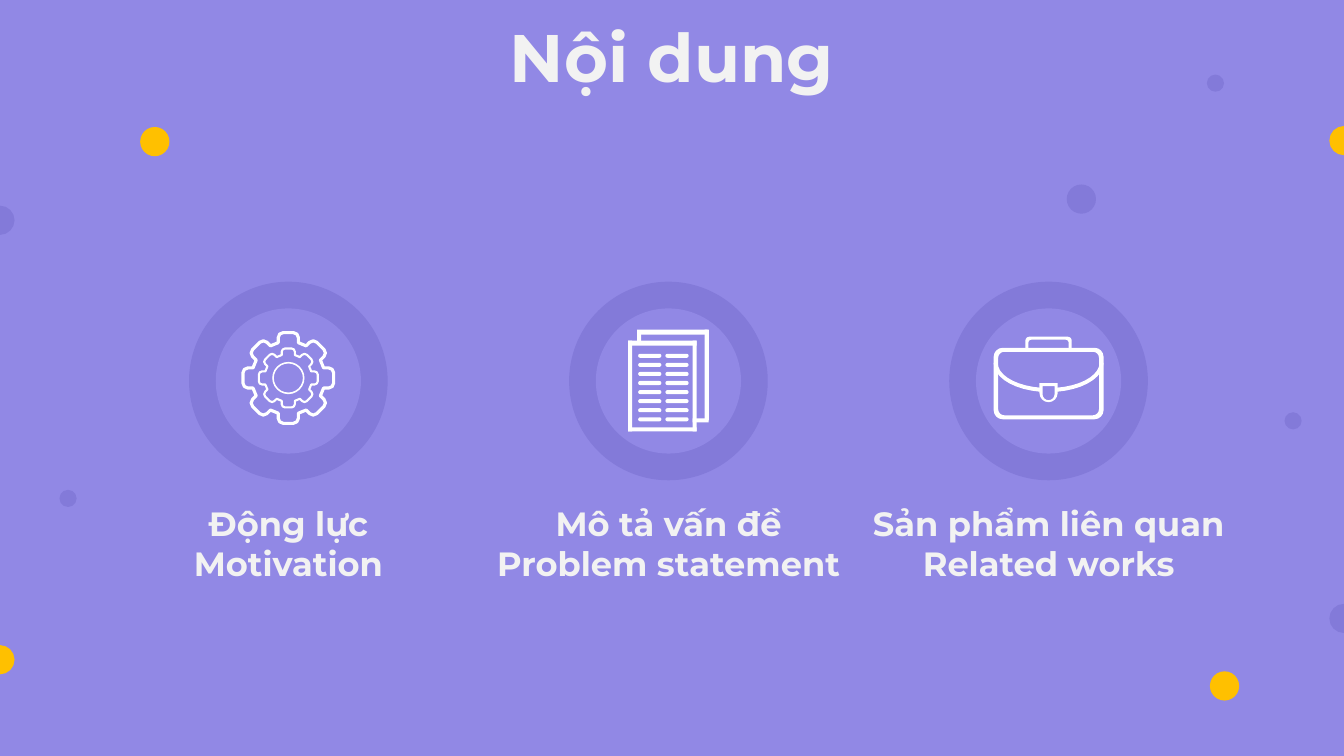
from math import cos, sin, radians, hypot

from pptx import Presentation
from pptx.dml.color import RGBColor
from pptx.enum.shapes import MSO_SHAPE as Shape
from pptx.enum.text import MSO_ANCHOR as Anchor, MSO_AUTO_SIZE as AutoSize, PP_ALIGN as Align
from pptx.util import Inches, Pt

# Content
TITLE = "Nội dung"
TOPICS = [
    ("Động lực", "Motivation"),
    ("Mô tả vấn đề", "Problem statement"),
    ("Sản phẩm liên quan", "Related works"),
]
LABEL_WIDTHS = [2.26, 3.62, 4.13]
COLORS = {"ground": "9188E5", "ring": "837AD9", "accent": "FFC000",
          "text": "F2F2F2", "icon": "FFFFFF"}
FONT = "Montserrat"

# Dots: left, top, colour; half dots sit on the slide's edges: edge, top, colour
SMALL_DOT, LARGE_DOT = 0.17, 0.29
SMALL_DOTS = [(0.59, 4.86, "ring"), (12.74, 4.09, "ring"), (11.97, 0.74, "ring")]
LARGE_DOTS = [(1.39, 1.26, "accent"), (12, 6.66, "accent"), (10.58, 1.83, "ring")]
HALF_DOTS = [("left", 6.4, "accent"), ("left", 2.04, "ring"),
             ("right", 5.99, "ring"), ("right", 1.25, "accent")]

# Grid of the three topics, in inches
WIDTH, HEIGHT = 13.33, 7.5
FIRST_CENTER, COLUMN_STEP = 2.86, 3.77
RING_MIDDLE, RING, DISC = 3.78, 1.97, 1.44
LABEL_TOP, LABEL_HEIGHT = 4.94, 0.91

# Gear: half a tooth as x, y, corner radius; each outline as scale, line width
HALF_TOOTH = [(0.1, -0.45, 0.05), (0.1, -0.35, 0)]
GEAR_OUTLINES = [(1, 2.25), (0.65, 1.5)]
GEAR_MIDDLE = 3.75

# Pages: left, top, width, height of each bar, from the column's centre
PAGE_BARS = [
    (-0.4, 3.38, 0.04, 0.9), (0.24, 3.38, 0.04, 0.9),
    (-0.4, 3.38, 0.68, 0.05), (-0.4, 4.24, 0.68, 0.04),
    (-0.31, 3.3, 0.04, 0.11), (-0.31, 3.27, 0.7, 0.05),
    (0.36, 3.27, 0.04, 0.9), (0.24, 4.15, 0.16, 0.04),
]
LINE_COLUMNS, LINE_ROWS = (-0.3, -0.03), 8
LINE_TOP, LINE_STEP, LINE_WIDTH, LINE_HEIGHT = 3.51, 0.09, 0.23, 0.04


def paint(shape, color):
    shape.shadow.inherit = False
    shape.fill.solid()
    shape.fill.fore_color.rgb = RGBColor.from_string(COLORS[color])
    shape.line.fill.background()


def add_preset(shapes, kind, left, top, width, height, color):
    shape = shapes.add_shape(kind, *map(Inches, (left, top, width, height)))
    paint(shape, color)
    return shape


def add_outline(shapes, contours, color):
    builder = None
    for contour in contours:
        points = [(Inches(x), Inches(y)) for x, y in contour]
        if builder is None:
            builder = shapes.build_freeform(*points[0], scale=1.0)
        else:
            builder.move_to(*points[0])
        builder.add_line_segments(points[1:], close=True)
    shape = builder.convert_to_shape()
    paint(shape, color)
    return shape


def rounded(corners, steps=4):
    """Turn (x, y, radius) corners into the points of a rounded polygon."""
    points = []
    for i, (x, y, radius) in enumerate(corners):
        if not radius:
            points.append((x, y))
            continue
        ends = []
        for nx, ny, _ in (corners[i - 1], corners[(i + 1) % len(corners)]):
            share = radius / hypot(nx - x, ny - y)
            ends.append((x + (nx - x) * share, y + (ny - y) * share))
        for k in range(steps + 1):
            t = k / steps
            a, d = (1 - t) ** 3, t ** 3
            b, c = 3 * t * (1 - t) ** 2, 3 * t * t * (1 - t)
            start, end, pull = a + 0.45 * b, d + 0.45 * c, 0.55 * (b + c)
            points.append(tuple(start * s + end * e + pull * p
                                for s, e, p in zip(*ends, (x, y))))
    return points


def gear_contour(center, scale):
    tooth = [(-x, y, r) for x, y, r in reversed(HALF_TOOTH)] + HALF_TOOTH
    corners = []
    for turn in range(8):
        c, s = cos(radians(45 * turn)), sin(radians(45 * turn))
        corners += [(center + scale * (x * c - y * s),
                     GEAR_MIDDLE + scale * (x * s + y * c), scale * r) for x, y, r in tooth]
    return rounded(corners, steps=2)


def draw_gear(shapes, center):
    for scale, line_width in GEAR_OUTLINES:
        gear = add_outline(shapes, [gear_contour(center, scale)], "icon")
        gear.fill.background()
        gear.line.color.rgb = RGBColor.from_string(COLORS["icon"])
        gear.line.width = Pt(line_width)
    hub = add_preset(shapes, Shape.DONUT, center - 0.16, GEAR_MIDDLE - 0.16, 0.32, 0.32, "icon")
    hub.adjustments[0] = 0.05


def draw_pages(shapes, center):
    for left, top, width, height in PAGE_BARS:
        add_preset(shapes, Shape.RECTANGLE, center + left, top, width, height, "icon")
    for row in range(LINE_ROWS):
        for left in LINE_COLUMNS:
            line = add_preset(shapes, Shape.ROUNDED_RECTANGLE, center + left,
                              LINE_TOP + row * LINE_STEP, LINE_WIDTH, LINE_HEIGHT, "icon")
            line.adjustments[0] = 0.5


def draw_briefcase(shapes, center):
    def box(half, top, bottom, upper, lower):
        return rounded([(center - half, top, upper), (center + half, top, upper),
                        (center + half, bottom, lower), (center - half, bottom, lower)])

    def flap_edge(side, rx, ry):
        return [(center + side * rx * cos(radians(t)), 3.6 + ry * sin(radians(t)))
                for t in range(0, 82, 9)]

    case = [box(0.545, 3.45, 4.16, 0.09, 0.09), box(0.5, 3.49, 4.12, 0.06, 0.06)]
    flap = [flap_edge(side, 0.545, 0.29) + flap_edge(side, 0.505, 0.25)[::-1]
            for side in (-1, 1)]
    handle = [rounded([(center - 0.23, 3.46, 0), (center - 0.23, 3.34, 0.04),
                       (center + 0.23, 3.34, 0.04), (center + 0.23, 3.46, 0),
                       (center + 0.2, 3.46, 0), (center + 0.2, 3.37, 0.03),
                       (center - 0.2, 3.37, 0.03), (center - 0.2, 3.46, 0)])]
    latch = [box(0.09, 3.8, 3.99, 0, 0.09), box(0.06, 3.83, 3.97, 0, 0.06)]
    for part in (case, flap, handle, latch):
        add_outline(shapes, part, "icon")


def write(frame, lines, size):
    frame.word_wrap = True
    frame.auto_size = AutoSize.SHAPE_TO_FIT_TEXT
    frame.vertical_anchor = Anchor.TOP
    for i, line in enumerate(lines):
        paragraph = frame.add_paragraph() if i else frame.paragraphs[0]
        paragraph.text = line
        paragraph.alignment = Align.CENTER
        font = paragraph.font
        font.name, font.size, font.bold = FONT, Pt(size), True
        font.color.rgb = RGBColor.from_string(COLORS["text"])


def main():
    prs = Presentation()
    prs.slide_width, prs.slide_height = Inches(WIDTH), Inches(HEIGHT)
    slide = prs.slides.add_slide(prs.slide_layouts[5])
    slide.background.fill.solid()
    slide.background.fill.fore_color.rgb = RGBColor.from_string(COLORS["ground"])
    shapes = slide.shapes

    # Title
    title = shapes.title
    title.left, title.top, title.width, title.height = map(Inches, (4.02, 0.1, 5.29, 0.91))
    write(title.text_frame, [TITLE], 48)

    # Scattered dots
    for size, dots in ((SMALL_DOT, SMALL_DOTS), (LARGE_DOT, LARGE_DOTS)):
        for left, top, color in dots:
            add_preset(shapes, Shape.OVAL, left, top, size, size, color)
    for edge, top, color in HALF_DOTS:
        radius = LARGE_DOT / 2
        flat, tip = (0, radius) if edge == "left" else (WIDTH, WIDTH - radius)
        add_outline(shapes, [rounded([(flat, top, 0), (tip, top, radius),
                                      (tip, top + LARGE_DOT, radius),
                                      (flat, top + LARGE_DOT, 0)])], color)

    # Topics: ring, icon and label
    icons = (draw_gear, draw_pages, draw_briefcase)
    for i, (lines, label_width, draw_icon) in enumerate(zip(TOPICS, LABEL_WIDTHS, icons)):
        center = FIRST_CENTER + i * COLUMN_STEP
        for size, color in ((RING, "ring"), (DISC, "ground")):
            add_preset(shapes, Shape.OVAL, center - size / 2, RING_MIDDLE - size / 2,
                       size, size, color)
        draw_icon(shapes.add_group_shape().shapes, center)
        label = shapes.add_textbox(*map(Inches, (center - label_width / 2, LABEL_TOP,
                                                 label_width, LABEL_HEIGHT)))
        write(label.text_frame, lines, 24)

    prs.save("out.pptx")


if __name__ == "__main__":
    main()
